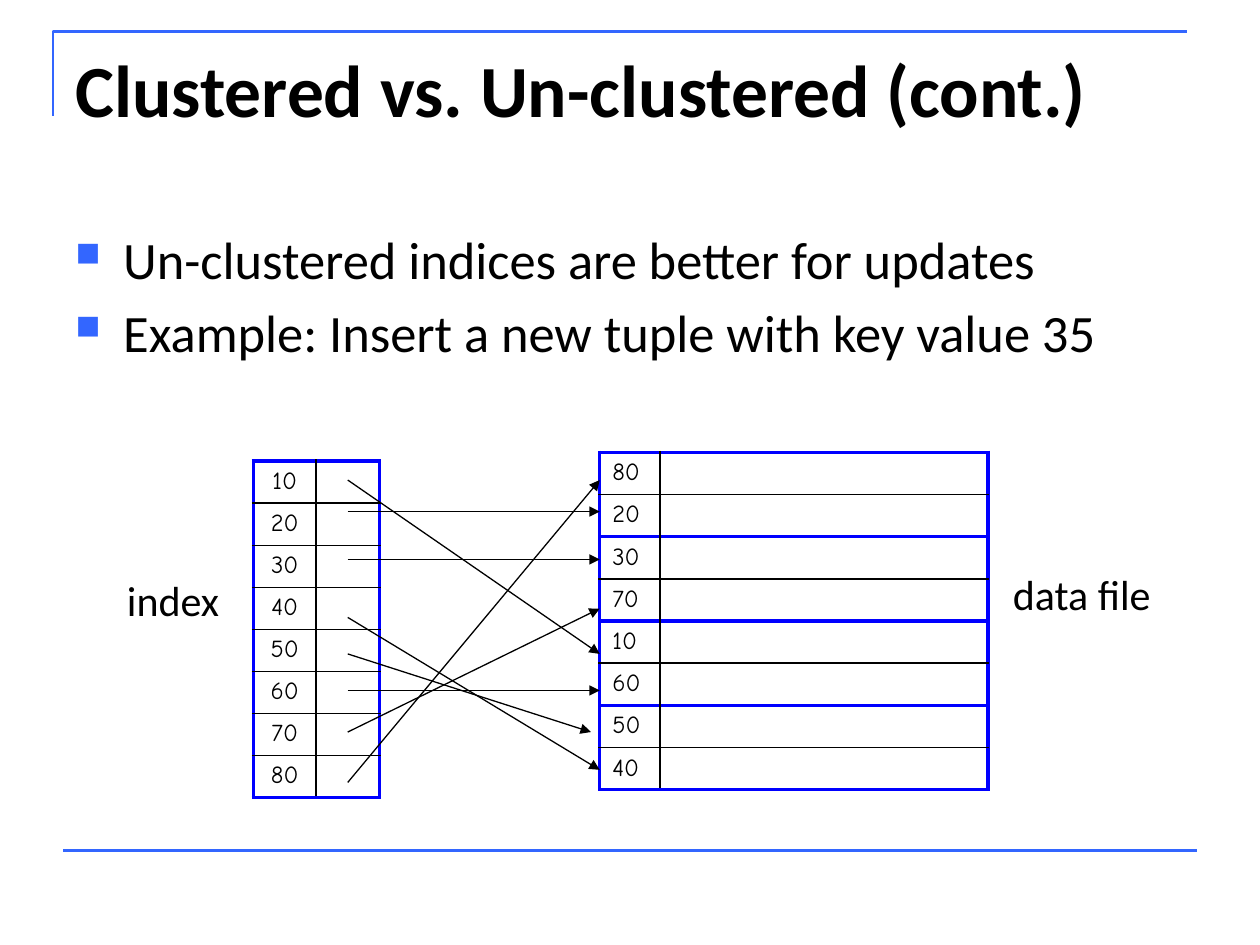
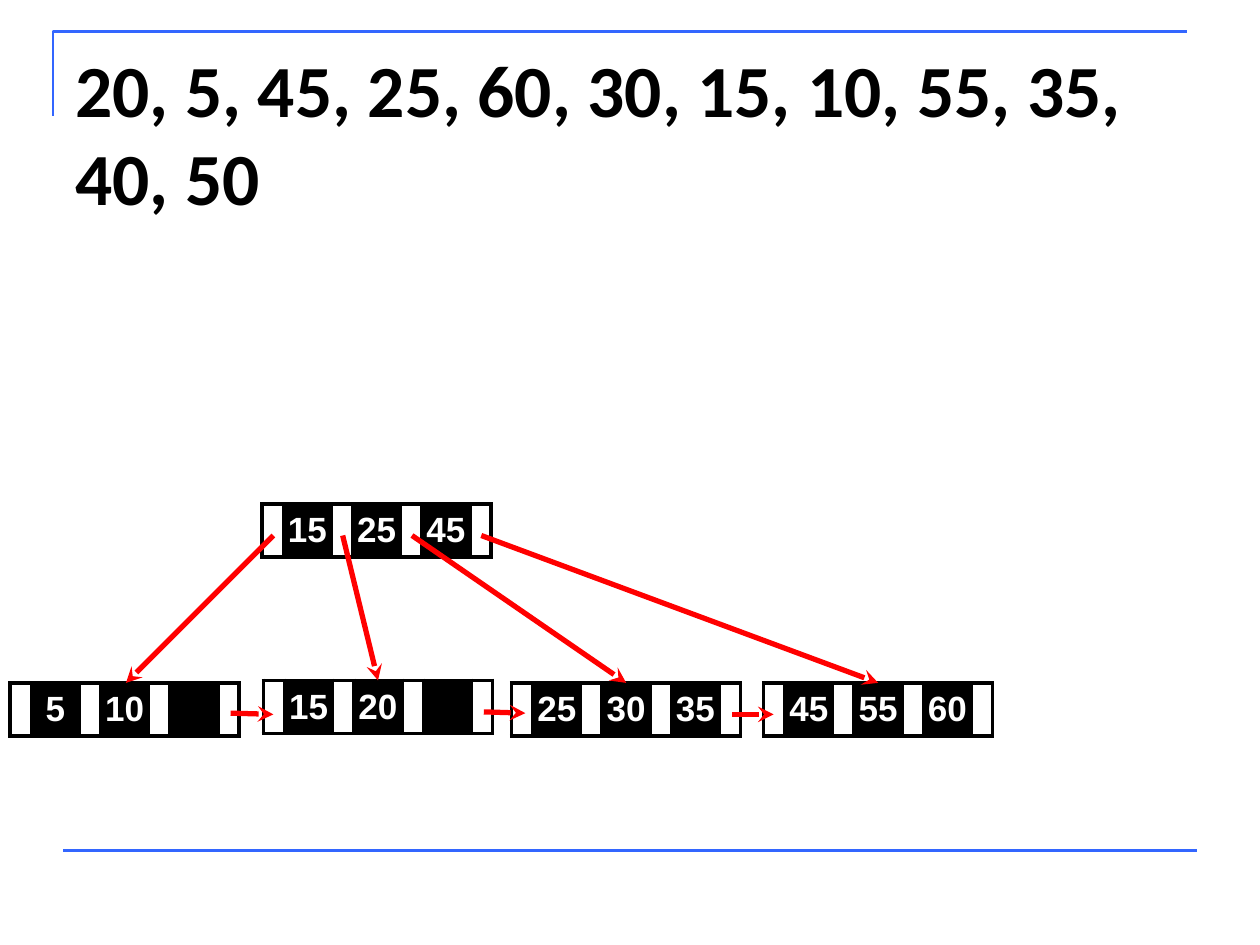
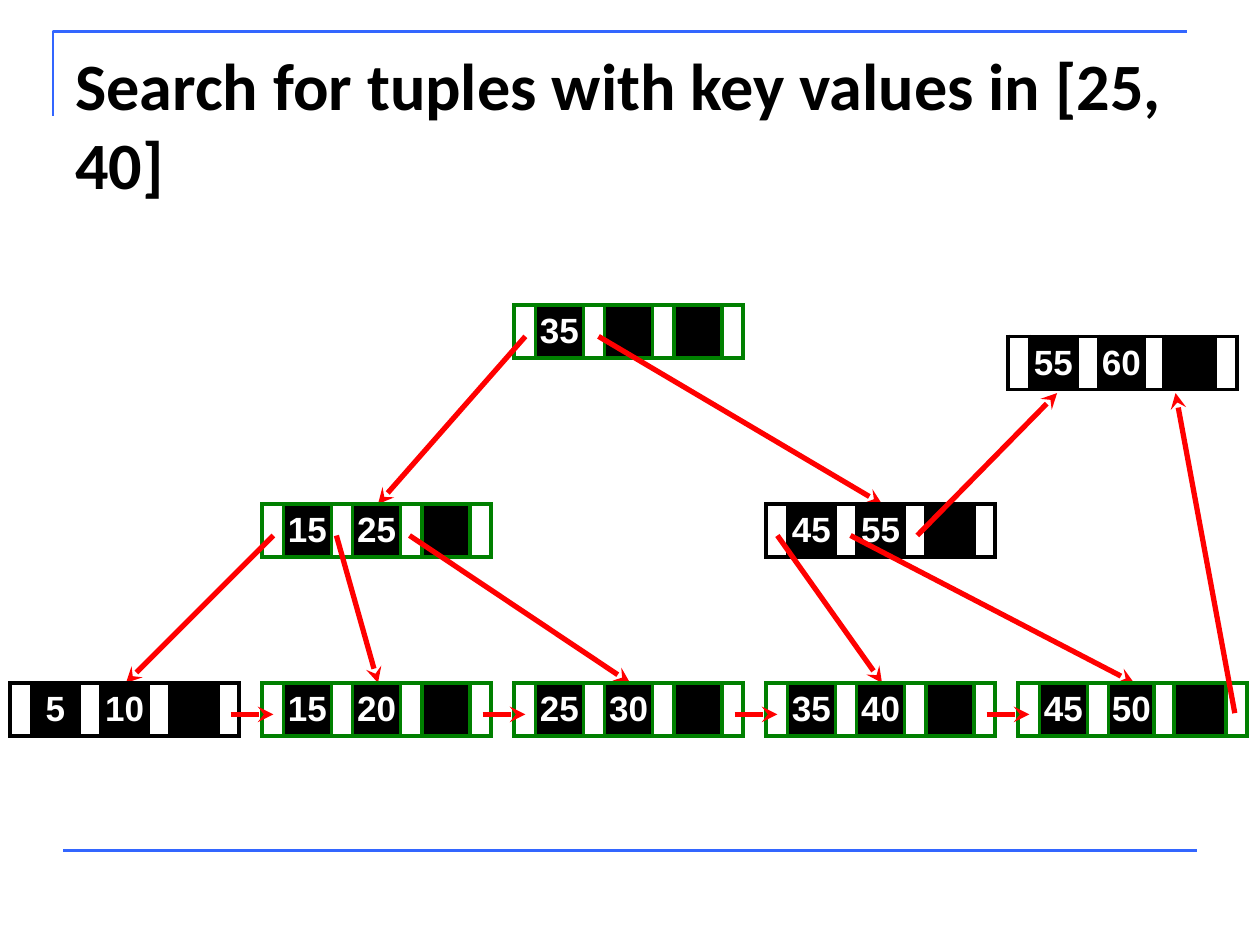
import lxml.etree
import pptx
import pptx.dml.color
import pptx.enum.shapes
import pptx.enum.text
import pptx.oxml.ns
import pptx.util

RGB = pptx.dml.color.RGBColor
ALIGN = pptx.enum.text.PP_ALIGN
ANCHOR = pptx.enum.text.MSO_ANCHOR
qn = pptx.oxml.ns.qn

PX = 9144  # EMU in one px, 100 px to the inch

BLACK = RGB(0x00, 0x00, 0x00)
WHITE = RGB(0xFF, 0xFF, 0xFF)
ACCENT = RGB(0x33, 0x66, 0xFF)
BLOCK_BLUE = RGB(0x00, 0x00, 0xFF)
POINTER_RED = RGB(0xFF, 0x00, 0x00)
VISITED_GREEN = RGB(0x00, 0x80, 0x00)

TEXT_FONT = "Calibri"
RECORD_FONT = "Comic Neue"
KEY_FONT = "Arial"

NODE_WIDTHS = (17, 38, 17, 38, 17, 38, 17)
UNEVEN_WIDTHS = (17, 38, 17, 36, 16, 41, 17)
NODE_HEIGHT = 42
LEAF_TOP = 542
PARENT_TOP = 400
POINTER_Y = 425


def px(length):
    return pptx.util.Emu(length * PX)


def add_xml(parent, tag, **attributes):
    return lxml.etree.SubElement(parent, qn(tag), attributes)


def style_runs(paragraph, font_name, size, color=BLACK, bold=False):
    for run in paragraph.runs:
        run.font.name = font_name
        run.font.size = pptx.util.Pt(size)
        run.font.color.rgb = color
        run.font.bold = bold


class Deck:
    def __init__(self):
        self.presentation = pptx.Presentation()
        self.presentation.slide_width = px(1000)
        self.presentation.slide_height = px(750)
        self.shapes = None

    def new_slide(self, title, title_size=42):
        blank = self.presentation.slide_layouts[6]
        self.shapes = self.presentation.slides.add_slide(blank).shapes
        outline = self.shapes.build_freeform(42, 92, scale=float(PX))
        outline.add_line_segments([(42, 25), (942, 25)], close=False)
        corner = outline.convert_to_shape()
        corner.shadow.inherit = False
        corner.fill.background()
        corner.line.color.rgb = ACCENT
        corner.line.width = pptx.util.Pt(1.5)
        self.line((50, 675), (950, 675), ACCENT, 1.5)
        self.text(50, 30, 900, 125, [title], title_size, bold=True)

    def text(self, left, top, width, height, lines, size, bold=False, wrap=True):
        box = self.shapes.add_textbox(px(left), px(top), px(width), px(height))
        frame = box.text_frame
        frame.word_wrap = wrap
        frame.text = "\n".join(lines)
        for paragraph in frame.paragraphs:
            style_runs(paragraph, TEXT_FONT, size, bold=bold)
        return frame

    def bullets(self, left, top, width, height, lines, size):
        frame = self.text(left, top, width, height, lines, size)
        for position, paragraph in enumerate(frame.paragraphs):
            if position:
                paragraph.space_before = pptx.util.Pt(size * 0.2)
            properties = paragraph._p.get_or_add_pPr()
            properties.set("marL", str(px(38)))
            properties.set("indent", str(px(-38)))
            bullet_color = add_xml(properties, "a:buClr")
            add_xml(bullet_color, "a:srgbClr", val=str(ACCENT))
            add_xml(properties, "a:buSzPct", val="65000")
            add_xml(properties, "a:buChar", char="■")

    def line(self, start, end, color, width, head=None):
        straight = pptx.enum.shapes.MSO_CONNECTOR.STRAIGHT
        connector = self.shapes.add_connector(
            straight, *(px(length) for length in (*start, *end)))
        connector.line.color.rgb = color
        connector.line.width = pptx.util.Pt(width)
        if head:
            add_xml(connector.line._get_or_add_ln(), "a:tailEnd", type=head)
        add_xml(connector._element.spPr, "a:effectLst")

    def pointers(self, *ends):
        for start, end in ends:
            self.line(start, end, POINTER_RED, 3, "stealth")

    def grid(self, left, top, widths, row_height, height, rows, outer, inner):
        """Add a table; outer and inner are (colour, points) of its borders."""
        holder = self.shapes.add_table(
            len(rows), len(widths), px(left), px(top), px(sum(widths)), px(height))
        table = holder.table
        table.first_row = table.horz_banding = False
        for column, width in zip(table.columns, widths):
            column.width = px(width)
        for row in table.rows:
            row.height = px(row_height)
        holder.height = px(height)
        for r, row in enumerate(rows):
            for c, label in enumerate(row):
                cell = table.cell(r, c)
                cell.text = label
                at_edge = {"L": c == 0, "R": c == len(widths) - 1,
                           "T": r == 0, "B": r == len(rows) - 1}
                for side, is_outer in at_edge.items():
                    self.border(cell, side, *(outer if is_outer else inner))
                cell.fill.background()
        return table

    @staticmethod
    def border(cell, side, color, width):
        edge = add_xml(cell._tc.get_or_add_tcPr(), f"a:ln{side}",
                       w=str(pptx.util.Pt(width)))
        add_xml(add_xml(edge, "a:solidFill"), "a:srgbClr", val=str(color))

    def records(self, left, top, widths, row_height, height, keys, align):
        """Add a block of keys, each followed by an empty field."""
        table = self.grid(left, top, widths, row_height, height,
                          [(key, "") for key in keys.split()],
                          (BLOCK_BLUE, 2.25), (BLACK, 1))
        for cell in table.iter_cells():
            paragraph = cell.text_frame.paragraphs[0]
            paragraph.alignment = align
            style_runs(paragraph, RECORD_FONT, 14)
            if not cell.text:
                add_xml(paragraph._p, "a:endParaRPr", sz="1400")

    def node(self, left, top, keys, color=BLACK, widths=NODE_WIDTHS):
        """Add a tree node: black key cells between white pointer cells."""
        labels = [""] * len(widths)
        for position, key in enumerate(keys.split()):
            labels[2 * position + 1] = key
        edge = (color, 2.25)
        table = self.grid(left, top, widths, NODE_HEIGHT, NODE_HEIGHT,
                          [labels], edge, edge)
        for position, cell in enumerate(table.iter_cells()):
            cell.margin_left = cell.margin_right = 0
            cell.margin_top = cell.margin_bottom = 0
            cell.vertical_anchor = ANCHOR.MIDDLE
            paragraph = cell.text_frame.paragraphs[0]
            paragraph.alignment = ALIGN.CENTER
            style_runs(paragraph, KEY_FONT, 20, WHITE, bold=True)
            if position % 2:
                cell.fill.solid()
                cell.fill.fore_color.rgb = BLACK


def clustering_slide(deck):
    deck.new_slide("Clustered vs. Un-clustered (cont.)")
    deck.bullets(50, 175, 930, 495,
                 ["Un-clustered indices are better for updates",
                  "Example: Insert a new tuple with key value 35"], 30)
    deck.records(201, 366, (50, 50), 27, 267,
                 "10 20 30 40 50 60 70 80", ALIGN.CENTER)
    for position, keys in enumerate(("80 20", "30 70", "10 60", "50 40")):
        deck.records(476, 359 + 67 * position, (48, 260), 32, 67, keys, ALIGN.LEFT)
    index_ys = (381, 406, 444, 490, 519, 548, 581, 621)
    record_ends = ((476, 519), (476, 406), (476, 444), (476, 611),
                   (469, 581), (476, 548), (476, 483), (476, 381))
    for index_y, record_end in zip(index_ys, record_ends):
        deck.line((276, index_y), record_end, BLACK, 0.75, "triangle")
    deck.text(91, 451, 94, 50, ["index"], 24, wrap=False)
    deck.text(794, 446, 131, 50, ["data file"], 24, wrap=False)


def insertion_slide(deck):
    deck.new_slide("20, 5, 45, 25, 60, 30, 15, 10, 55, 35, 40, 50")
    deck.node(208, PARENT_TOP, "15 25 45")
    deck.node(8, LEAF_TOP, "5 10")
    deck.node(209, 540, "15 20")
    deck.node(406, LEAF_TOP, "25 30 35")
    deck.node(606, LEAF_TOP, "45 55 60")
    children = ((100, LEAF_TOP), (300, 540), (497, LEAF_TOP), (697, LEAF_TOP))
    deck.pointers(*(((217 + 55 * position, POINTER_Y), child)
                    for position, child in enumerate(children)))
    deck.pointers(((183, 566), (217, 567)),
                  ((384, 565), (417, 566)),
                  ((581, 567), (614, 567)))


def search_slide(deck):
    deck.new_slide("Search for tuples with key values in [25, 40]", 37.8)
    deck.node(408, 242, "35", VISITED_GREEN)
    deck.pointers(((417, 267), (300, PARENT_TOP)),
                  ((475, 267), (700, PARENT_TOP)))
    deck.node(208, PARENT_TOP, "15 25", VISITED_GREEN)
    deck.node(608, PARENT_TOP, "45 55")
    parent_pointers = (217, 267, 325, 617, 675)
    leaves = ("5 10", "15 20", "25 30", "35 40", "45 50")
    for position, pointer_x in enumerate(parent_pointers):
        deck.pointers(((pointer_x, POINTER_Y), (100 + 200 * position, LEAF_TOP)))
    for position, keys in enumerate(leaves):
        is_first, is_last = position == 0, position == len(leaves) - 1
        deck.node(8 + 200 * position, LEAF_TOP, keys,
                  BLACK if is_first else VISITED_GREEN,
                  UNEVEN_WIDTHS if is_last else NODE_WIDTHS)
    deck.pointers(*(((183 + 200 * gap, 567), (217 + 200 * gap, 567))
                    for gap in range(len(leaves) - 1)))
    deck.node(800, 267, "55 60", widths=UNEVEN_WIDTHS)
    deck.pointers(((980, 566), (933, 312)), ((728, POINTER_Y), (839, 312)))


def main():
    deck = Deck()
    clustering_slide(deck)
    insertion_slide(deck)
    search_slide(deck)
    deck.presentation.save("out.pptx")


if __name__ == "__main__":
    main()
